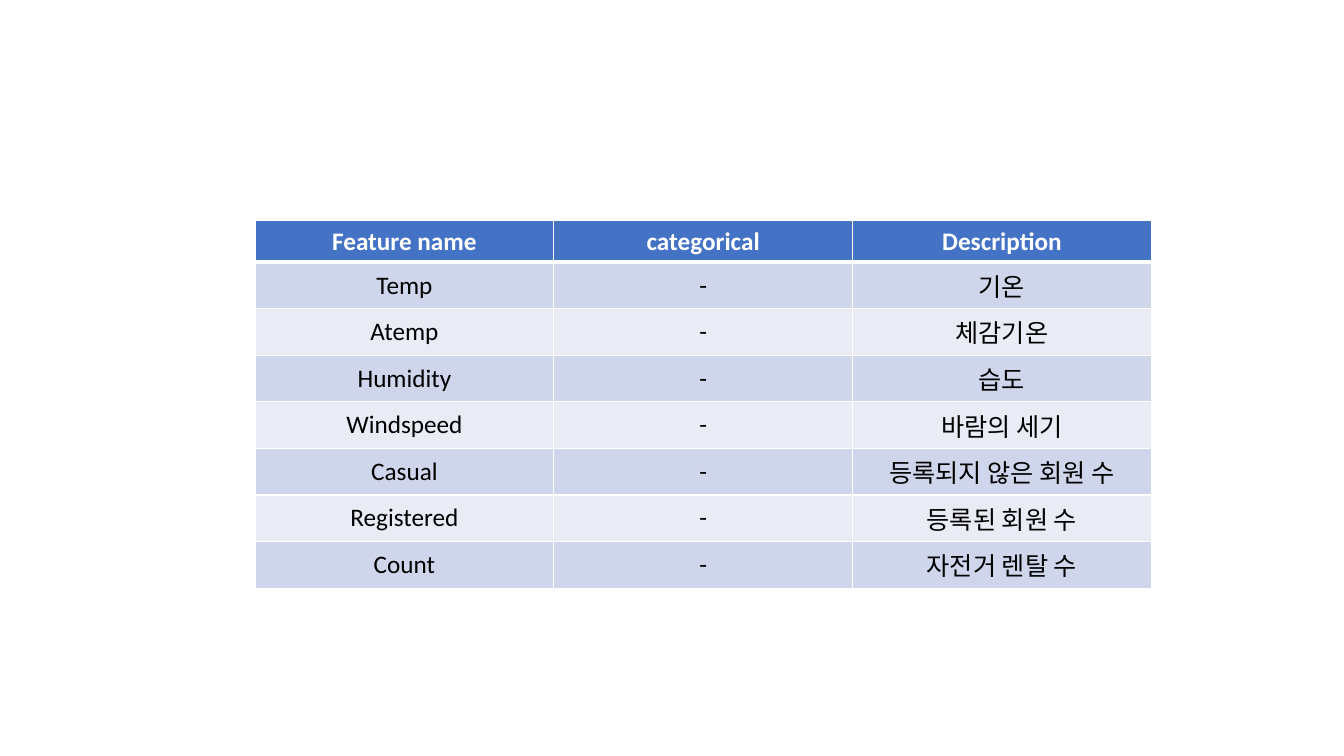
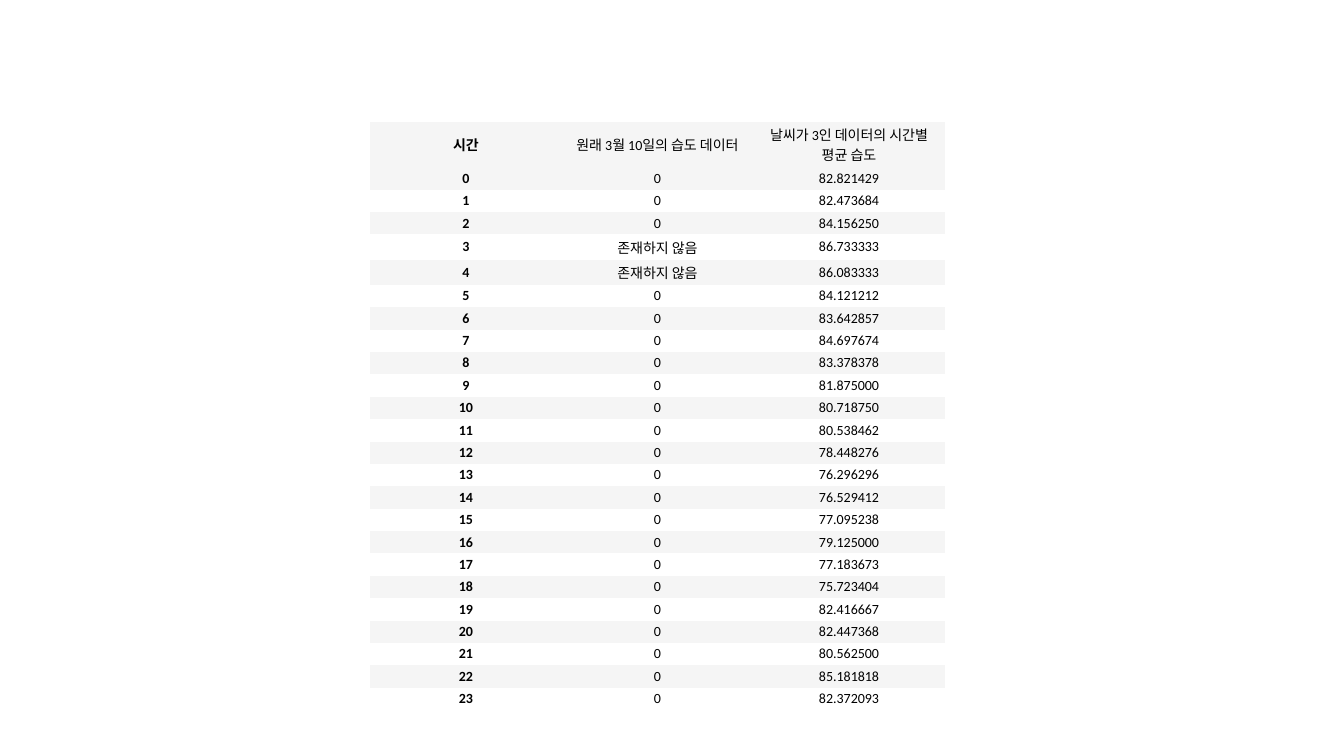
from dataclasses import dataclass

from lxml.etree import SubElement
from pptx import Presentation
from pptx.dml.color import RGBColor
from pptx.enum.text import MSO_ANCHOR, PP_ALIGN
from pptx.oxml.ns import qn
from pptx.util import Inches, Pt


@dataclass(frozen=True)
class Theme:
    """Colours, font, type sizes and line widths of the presentation."""
    font: str = "Calibri"
    text: str = "000000"
    inverse: str = "FFFFFF"
    header: str = "4472C4"
    feature_bands: tuple = ("CFD5EA", "E9EBF5")
    hour_bands: tuple = ("F5F5F5", None)
    feature_size: int = 18
    hour_size: int = 10
    rule: int = 1
    header_rule: int = 3
    plain_table: str = "{2D5ABB26-0587-4C30-8999-92F81FD0307C}"


THEME = Theme()

FEATURES = [
    ("Feature name", "categorical", "Description"),
    ("Temp", "-", "기온"),
    ("Atemp", "-", "체감기온"),
    ("Humidity", "-", "습도"),
    ("Windspeed", "-", "바람의 세기"),
    ("Casual", "-", "등록되지 않은 회원 수"),
    ("Registered", "-", "등록된 회원 수"),
    ("Count", "-", "자전거 렌탈 수"),
]

HOUR_HEADER = ("시간", "원래 3월 10일의 습도 데이터", "날씨가 3인 데이터의 시간별 평균 습도")
MISSING_HOURS = (3, 4)
MEAN_HUMIDITY = (
    "82.821429", "82.473684", "84.156250", "86.733333", "86.083333", "84.121212",
    "83.642857", "84.697674", "83.378378", "81.875000", "80.718750", "80.538462",
    "78.448276", "76.296296", "76.529412", "77.095238", "79.125000", "77.183673",
    "75.723404", "82.416667", "82.447368", "80.562500", "85.181818", "82.372093",
)


def add_plain_table(slide, box, rows, row_heights):
    """Add an unstyled table with equal columns to the box."""
    left, top, width, height = (Inches(length) for length in box)
    frame = slide.shapes.add_table(len(rows), len(rows[0]), left, top, width, height)
    for style in frame.element.iter(qn("a:tableStyleId")):
        style.text = THEME.plain_table
    table = frame.table
    table.first_row = table.horz_banding = False
    for row, row_height in zip(table.rows, row_heights):
        row.height = Inches(row_height)
    return table


def fill_cell(cell, text, size, color, bold, fill):
    """Write centred text in a cell and colour its background."""
    cell.text = text
    cell.vertical_anchor = MSO_ANCHOR.MIDDLE
    paragraph = cell.text_frame.paragraphs[0]
    paragraph.alignment = PP_ALIGN.CENTER
    font = paragraph.runs[0].font
    for name, value in {"name": THEME.font, "size": Pt(size), "bold": bold}.items():
        setattr(font, name, value)
    font.color.rgb = RGBColor.from_string(color)
    if fill:
        cell.fill.solid()
        cell.fill.fore_color.rgb = RGBColor.from_string(fill)
    else:
        cell.fill.background()


def add_borders(cell, top, bottom):
    """Rule all four sides of a cell in the inverse colour."""
    properties = cell._tc.get_or_add_tcPr()
    widths = {"a:lnL": THEME.rule, "a:lnR": THEME.rule, "a:lnT": top, "a:lnB": bottom}
    for side, width in widths.items():
        line = SubElement(properties, qn(side), w=str(Pt(width)))
        solid = SubElement(line, qn("a:solidFill"))
        SubElement(solid, qn("a:srgbClr"), val=THEME.inverse)


def add_feature_table(slide, box):
    """Place the ruled table of features under a coloured header."""
    heights = [0.41] + [0.46] * (len(FEATURES) - 1)
    table = add_plain_table(slide, box, FEATURES, heights)
    for row, texts in enumerate(FEATURES):
        is_header = row == 0
        fill = THEME.header if is_header else THEME.feature_bands[(row - 1) % 2]
        color = THEME.inverse if is_header else THEME.text
        top = THEME.header_rule if row == 1 else THEME.rule
        bottom = THEME.header_rule if is_header else THEME.rule
        for column, text in enumerate(texts):
            cell = table.cell(row, column)
            add_borders(cell, top, bottom)
            fill_cell(cell, text, THEME.feature_size, color, is_header, fill)


def add_hour_table(slide, box):
    """Place the compact banded table of humidity by hour."""
    rows = [HOUR_HEADER]
    heights = [0.45]
    regular_height = 4.89 / (len(MEAN_HUMIDITY) - len(MISSING_HOURS))
    for hour, mean in enumerate(MEAN_HUMIDITY):
        missing = hour in MISSING_HOURS
        rows.append((str(hour), "존재하지 않음" if missing else "0", mean))
        heights.append(0.25 if missing else regular_height)
    table = add_plain_table(slide, box, rows, heights)
    margins = {"margin_left": 0.05, "margin_right": 0.05,
               "margin_top": 0.02, "margin_bottom": 0.02}
    for row, texts in enumerate(rows):
        fill = THEME.hour_bands[max(row - 1, 0) % 2]
        for column, text in enumerate(texts):
            cell = table.cell(row, column)
            for name, value in margins.items():
                setattr(cell, name, Inches(value))
            fill_cell(cell, text, THEME.hour_size, THEME.text, column == 0, fill)


def main():
    """Build and save the presentation."""
    presentation = Presentation()
    presentation.slide_width = Inches(13.33)
    presentation.slide_height = Inches(7.5)
    blank = presentation.slide_layouts[6]
    add_feature_table(presentation.slides.add_slide(blank), (2.53, 2.19, 8.89, 3.63))
    add_hour_table(presentation.slides.add_slide(blank), (3.67, 1.21, 5.7, 5.84))
    presentation.save("out.pptx")


if __name__ == "__main__":
    main()
